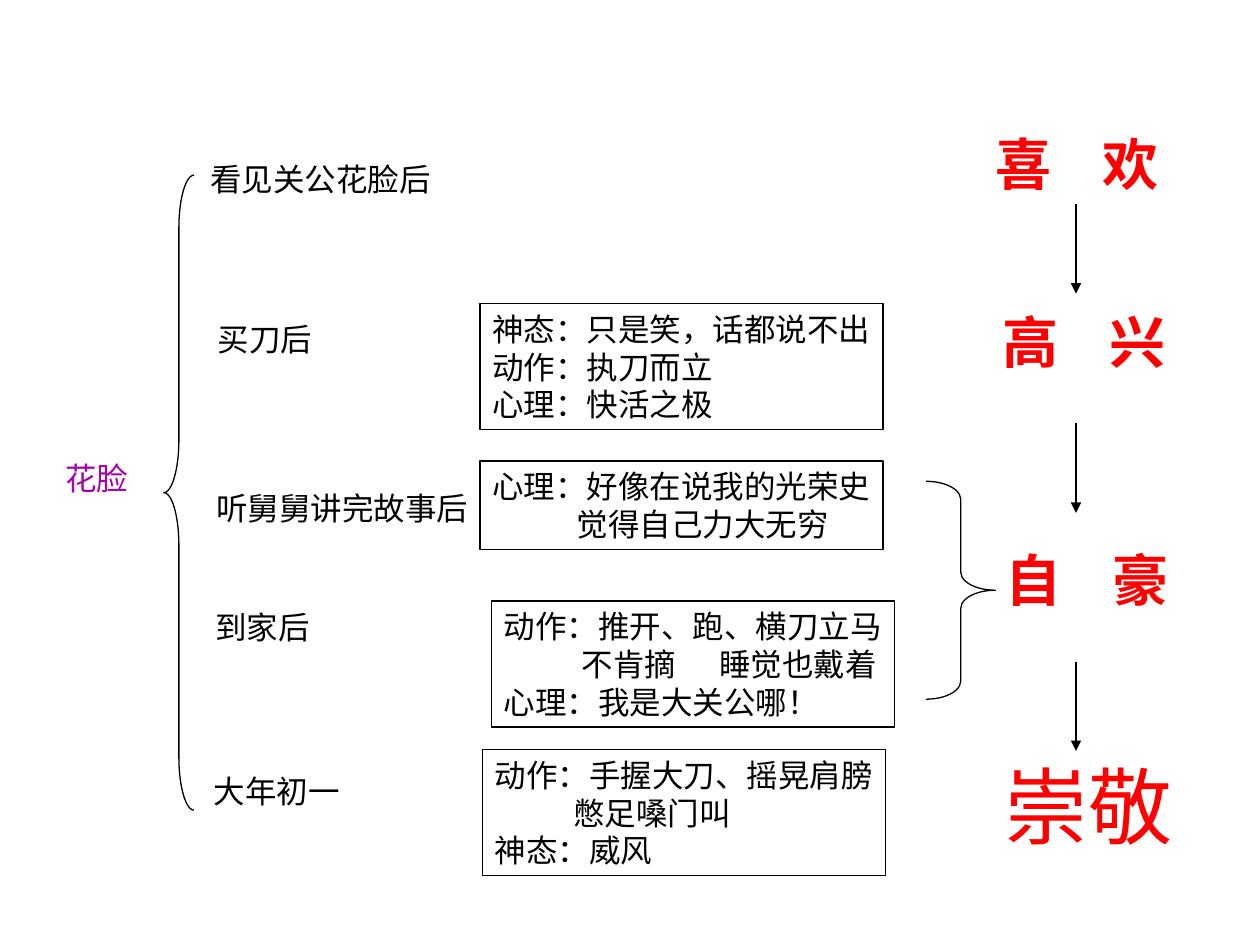
from dataclasses import dataclass

from lxml import etree
from pptx import Presentation
from pptx.dml.color import RGBColor
from pptx.enum.shapes import MSO_CONNECTOR, MSO_SHAPE
from pptx.enum.text import MSO_ANCHOR, PP_ALIGN
from pptx.oxml.ns import qn
from pptx.util import Inches, Pt

LINE = MSO_CONNECTOR.STRAIGHT
RECT = MSO_SHAPE.RECTANGLE
OPEN = MSO_SHAPE.LEFT_BRACE
CLOSE = MSO_SHAPE.RIGHT_BRACE
TOP = MSO_ANCHOR.TOP
LEFT = PP_ALIGN.LEFT


@dataclass(frozen=True)
class Theme:
    ink: RGBColor = RGBColor(0, 0, 0)
    mood: RGBColor = RGBColor(0xFF, 0, 0)
    topic: RGBColor = RGBColor(0xA6, 0x03, 0xAB)
    font: str = "Arial"
    cjk: str = "Noto Sans CJK SC"
    body: int = 18
    large: int = 32
    huge: int = 48
    rule: float = 0.75


THEME = Theme()


def write(shape, text, size=THEME.body, color=THEME.ink, bold=False,
          font=THEME.font, tabs=()):
    frame = shape.text_frame
    frame.word_wrap = True
    frame.vertical_anchor = TOP
    frame.margin_right = 0
    for index, line in enumerate(text.split("\n")):
        para = frame.add_paragraph() if index else frame.paragraphs[0]
        para.alignment = LEFT
        run = para.add_run()
        run.text = line
        if "\t" in line:
            stops = etree.SubElement(para._p.get_or_add_pPr(), qn("a:tabLst"))
            for stop in tabs:
                etree.SubElement(stops, qn("a:tab"),
                                 pos=str(Inches(stop)), algn="l")
        run.font.name = font
        run.font.size = Pt(size)
        run.font.bold = bold
        run.font.color.rgb = color


def label(slide, text, x, y, wide, high=0.4, **style):
    box = slide.shapes.add_textbox(
        Inches(x), Inches(y), Inches(wide), Inches(high))
    write(box, text, **style)


def outline(slide, kind, x, y, wide, high):
    shape = slide.shapes.add_shape(
        kind, Inches(x), Inches(y), Inches(wide), Inches(high))
    shape.shadow.inherit = False
    shape.fill.background()
    shape.line.color.rgb = THEME.ink
    shape.line.width = Pt(THEME.rule)
    return shape


def detail(slide, text, x, y, tabs=()):
    high = 0.1 + 0.3 * len(text.split("\n"))
    write(outline(slide, RECT, x, y, 3.2, high), text, tabs=tabs)


def brace(slide, kind, x, y, wide, high):
    shape = outline(slide, kind, x, y, wide, high)
    shape.adjustments[0] = high / 12 / wide


def arrow(slide, x, y, drop):
    link = slide.shapes.add_connector(
        LINE, Inches(x), Inches(y), Inches(x), Inches(y + drop))
    link.line.color.rgb = THEME.ink
    link.line.width = Pt(THEME.rule)
    etree.SubElement(link.line._get_or_add_ln(), qn("a:tailEnd"),
                     type="triangle")
    etree.SubElement(link._element.spPr, qn("a:effectLst"))


def main():
    deck = Presentation()
    deck.slide_width, deck.slide_height = Inches(10), Inches(7.5)
    slide = deck.slides.add_slide(deck.slide_layouts[6])

    label(slide, "花脸", 0.42, 3.59, 0.85, 0.5,
          color=THEME.topic, font=THEME.cjk)
    brace(slide, OPEN, 1.3, 1.39, 0.24, 5.04)

    for text, x, y in (
        ("看见关公花脸后", 1.57, 1.22),
        ("买刀后", 1.63, 2.49),
        ("听舅舅讲完故事后", 1.62, 3.83),
        ("到家后", 1.61, 4.78),
        ("大年初一", 1.6, 6.08),
    ):
        label(slide, text, x, y, 2.2)

    for text, x, y, tabs in (
        ("神态：只是笑，话都说不出\n动作：执刀而立\n心理：快活之极",
         3.81, 2.41, ()),
        ("心理：好像在说我的光荣史\n\t觉得自己力大无穷",
         3.81, 3.66, (0.67,)),
        ("动作：推开、跑、横刀立马\n\t不肯摘\t睡觉也戴着\n心理：我是大关公哪！",
         3.9, 4.77, (0.62, 1.71)),
        ("动作：手握大刀、摇晃肩膀\n\t憋足嗓门叫\n神态：威风",
         3.83, 5.95, (0.62,)),
    ):
        detail(slide, text, x, y, tabs)

    brace(slide, CLOSE, 7.35, 3.82, 0.55, 1.73)

    for text, x, y in (
        ("喜\t欢", 7.8, 0.98),
        ("高\t兴", 7.86, 2.39),
        ("自\t豪", 7.88, 4.28),
    ):
        label(slide, text, x, y, 1.49, 0.64, size=THEME.large,
              color=THEME.mood, bold=True, tabs=(0.85,))
    label(slide, "崇敬", 7.87, 5.94, 1.68, 0.9,
          size=THEME.huge, color=THEME.mood)

    for y in (1.62, 3.36, 5.25):
        arrow(slide, 8.54, y, 0.71)

    deck.save("out.pptx")


if __name__ == "__main__":
    main()
